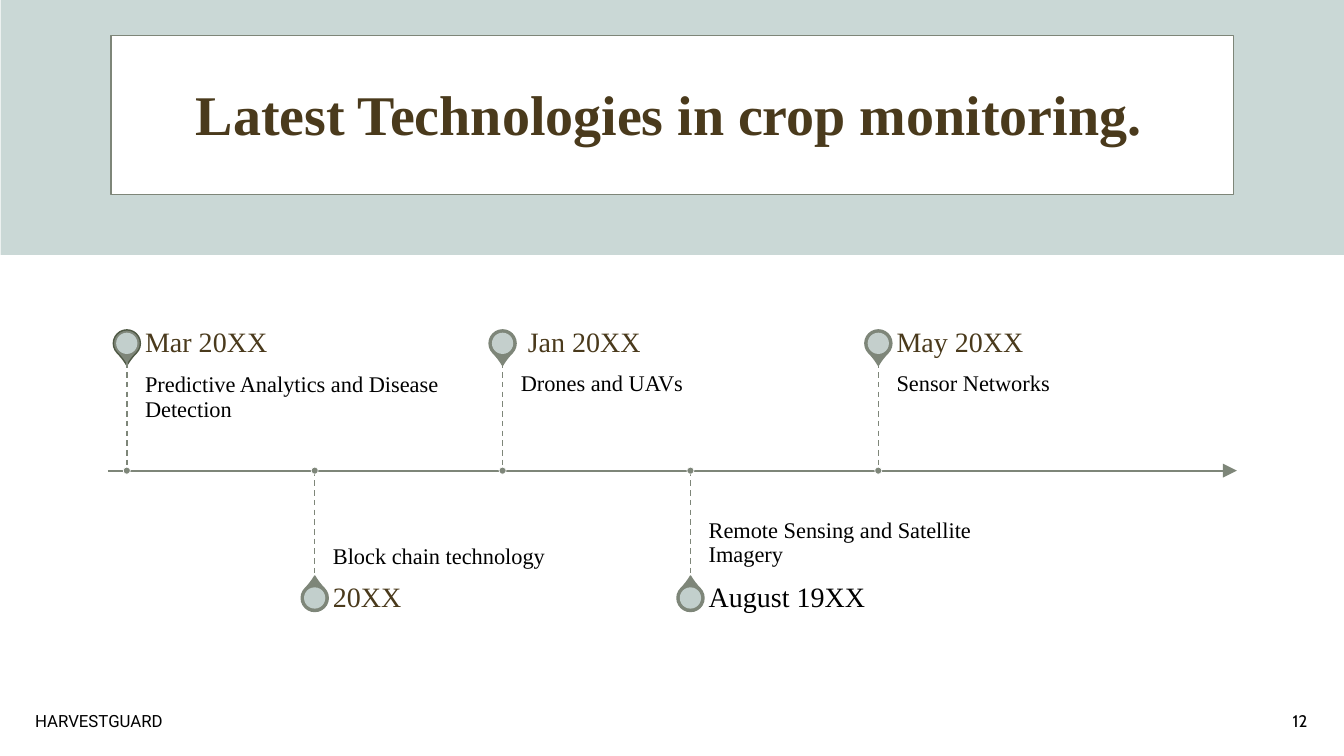
from lxml.etree import SubElement
from pptx import Presentation
from pptx.dml.color import RGBColor
from pptx.enum.dml import MSO_LINE as Dash
from pptx.enum.shapes import MSO_CONNECTOR as Connector, MSO_SHAPE as Preset
from pptx.enum.text import MSO_ANCHOR as Anchor, PP_ALIGN as Align
from pptx.oxml.ns import qn
from pptx.util import Pt

TITLE = "Latest Technologies in crop monitoring."
FOOTER = "HARVESTGUARD"
PAGE = "12"
MILESTONES = [
    {"date": "Mar 20XX", "topic": "Predictive Analytics and Disease Detection", "rim": "moss"},
    {"date": "20XX", "topic": "Block chain technology"},
    {"date": "Jan 20XX", "topic": "Drones and UAVs", "dot": "haze", "indent": 5},
    {"date": "August 19XX", "topic": "Remote Sensing and Satellite Imagery", "ink": "black"},
    {"date": "May 20XX", "topic": "Sensor Networks", "dot": "haze"},
]
COLORS = {
    "mist": "CAD8D6", "haze": "CCD8D6", "sage": "7E8679", "moss": "4F5945",
    "brown": "4A3A1C", "black": "000000", "white": "FFFFFF",
}
SERIF = "Times New Roman"
TITLE_FONT = {"name": SERIF, "size": Pt(40), "bold": True}
DATE_FONT = {"name": SERIF, "size": Pt(20)}
TOPIC_FONT = {"name": SERIF, "size": Pt(16)}
FOOTER_FONT = {"name": "Roboto", "size": Pt(12)}
PAGE_FONT = {"name": "Cabin", "size": Pt(12)}

SLIDE_W, SLIDE_H = 960, 540
AXIS_Y, AXIS_LEFT, AXIS_RIGHT = 336.2, 77, 883.5
FIRST_X, STEP_X = 90.6, 134.2
PIN, DOT, KNOT = 19.3, 15.2, 5
TEXT_GAP, TEXT_W, TOPIC_H, DATE_H = 13, 223, 77.3, 27.3

deck = Presentation()
deck.slide_width, deck.slide_height = Pt(SLIDE_W), Pt(SLIDE_H)
slide = deck.slides.add_slide(deck.slide_layouts[6])


def rgb(color):
    return RGBColor.from_string(COLORS[color])


def add_filled(preset, left, top, width, height, fill, rim=None, weight=1):
    shape = slide.shapes.add_shape(preset, Pt(left), Pt(top), Pt(width), Pt(height))
    shape.shadow.inherit = False
    shape.fill.solid()
    shape.fill.fore_color.rgb = rgb(fill)
    if rim:
        shape.line.color.rgb = rgb(rim)
        shape.line.width = Pt(weight)
    else:
        shape.line.fill.background()
    return shape


def add_round(preset, x, y, size, fill, rim=None, weight=1):
    return add_filled(preset, x - size / 2, y - size / 2, size, size, fill, rim, weight)


def add_text(text, left, top, width, height, font, color, insets=(7.2, 3.6, 7.2, 3.6),
             anchor=Anchor.MIDDLE, align=Align.LEFT, spacing=0.9):
    box = slide.shapes.add_textbox(Pt(left), Pt(top), Pt(width), Pt(height))
    frame = box.text_frame
    frame.word_wrap = True
    frame.vertical_anchor = anchor
    for side, inset in zip(("left", "top", "right", "bottom"), insets):
        setattr(frame, f"margin_{side}", Pt(inset))
    paragraph = frame.paragraphs[0]
    paragraph.alignment = align
    paragraph.line_spacing = spacing
    run = paragraph.add_run()
    run.text = text
    for attribute, value in font.items():
        setattr(run.font, attribute, value)
    run.font.color.rgb = rgb(color)


def add_line(x1, y1, x2, y2, weight):
    line = slide.shapes.add_connector(Connector.STRAIGHT, Pt(x1), Pt(y1), Pt(x2), Pt(y2))
    line.line.color.rgb = rgb("sage")
    line.line.width = Pt(weight)
    SubElement(line._element.spPr, qn("a:effectLst"))
    return line


def add_milestone(index, milestone):
    x = FIRST_X + index * STEP_X
    above = index % 2 == 0
    side = -1 if above else 1
    stem_end = AXIS_Y + side * TOPIC_H
    pin_y = stem_end + side * DATE_H / 2
    text_x = x + TEXT_GAP

    pin = add_round(Preset.TEAR, x, pin_y, PIN, "sage", milestone.get("rim", "sage"))
    pin.adjustments[0] = 1.15
    pin.rotation = 135 if above else 315
    dot = add_round(Preset.OVAL, x, pin_y, DOT, milestone.get("dot", "mist"))
    dot_color = dot._element.spPr.find(qn("a:solidFill"))[0]
    SubElement(dot_color, qn("a:alpha"), val="90000")

    add_text(milestone["topic"], text_x, min(AXIS_Y, stem_end), TEXT_W, TOPIC_H,
             TOPIC_FONT, "black",
             insets=(0, 8, 8, 12) if above else (0, 12, 0, 8),
             anchor=Anchor.TOP if above else Anchor.BOTTOM)
    add_text(milestone["date"], text_x, pin_y - DATE_H / 2, TEXT_W, DATE_H,
             DATE_FONT, milestone.get("ink", "brown"),
             insets=(milestone.get("indent", 0), 0, 10, 0))

    stem = add_line(x, min(AXIS_Y, stem_end), x, max(AXIS_Y, stem_end), 1)
    stem.line.dash_style = Dash.DASH
    add_round(Preset.OVAL, x, AXIS_Y, KNOT, "sage", "white", 0.5)


add_filled(Preset.RECTANGLE, 0.5, 0, SLIDE_W, 182, "mist")
add_filled(Preset.RECTANGLE, 79.2, 25.3, 802, 113.6, "white", "sage")
add_text(TITLE, 105, 37.4, 755.3, 92.9, TITLE_FONT, "brown",
         insets=(7.2, 3.6, 17.2, 3.6), align=Align.CENTER)
add_text(FOOTER, 18, 500.4, 324, 28.8, FOOTER_FONT, "black", spacing=1.0)
add_text(PAGE, 725, 500.4, 216, 28.8, PAGE_FONT, "black", align=Align.RIGHT, spacing=1.0)

axis = add_line(AXIS_LEFT, AXIS_Y, AXIS_RIGHT, AXIS_Y, 1.5)
SubElement(axis.line._get_or_add_ln(), qn("a:tailEnd"), type="triangle", w="lg", len="lg")

for index, milestone in enumerate(MILESTONES):
    add_milestone(index, milestone)

deck.save("out.pptx")
